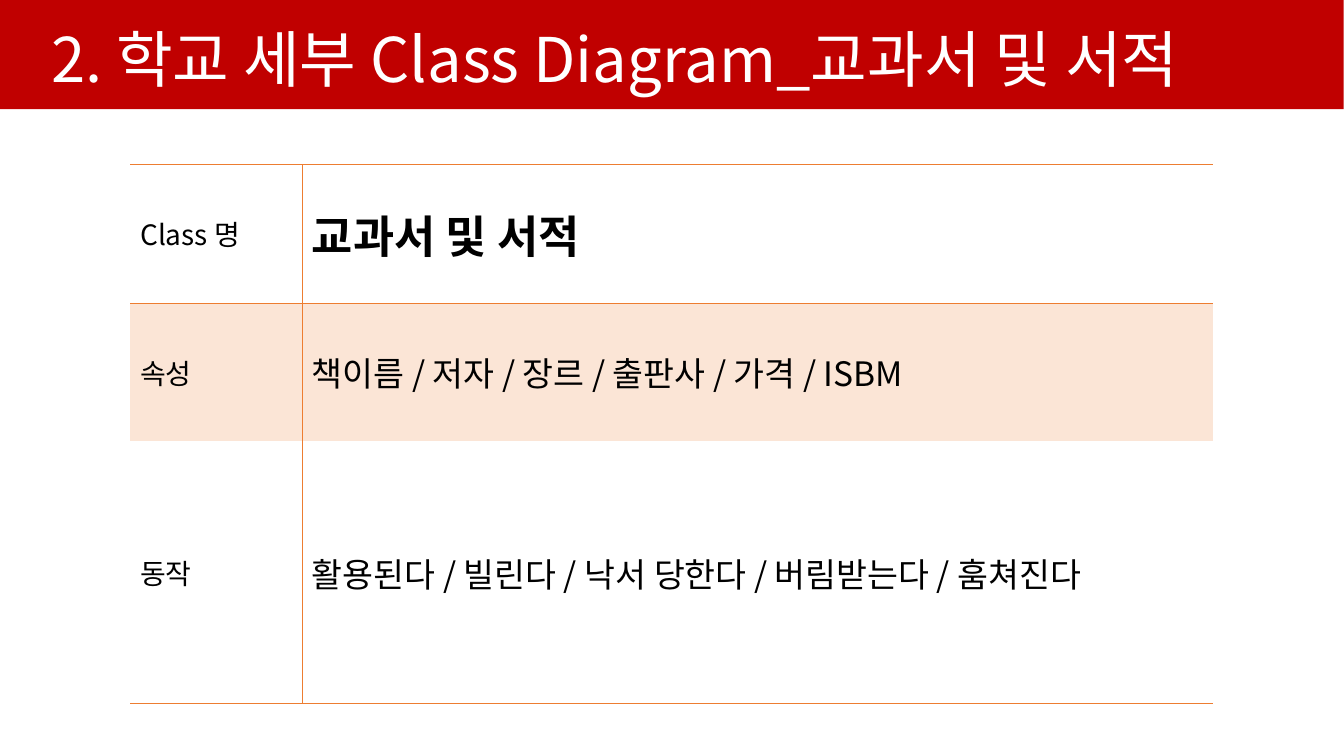
from dataclasses import dataclass

from pptx import Presentation
from pptx.dml.color import RGBColor as Rgb
from pptx.enum.shapes import MSO_SHAPE as ShapeKind
from pptx.enum.text import MSO_ANCHOR as Anchor
from pptx.oxml.ns import qn
from pptx.slide import Slide
from pptx.table import _Cell as Cell
from pptx.text.text import _Paragraph as Paragraph
from pptx.util import Cm, Pt
from lxml.etree import SubElement

COLORS = {"banner": "C00000", "white": "FFFFFF", "text": "000000",
          "rule": "ED7D31", "band": "FBE5D6"}
FONT = "Noto Sans CJK KR"
RULE_WIDTH = Pt(0.45)
COLUMN_WIDTHS = (4.33, 22.98)


@dataclass(frozen=True)
class ClassRow:
    label: str
    content: str
    content_size: int
    height: float
    rules: str
    bold: bool = False
    banded: bool = False


ROWS = (
    ClassRow("Class 명", "교과서 및 서적", 32, 3.49, "TB", bold=True),
    ClassRow("속성", "책이름 / 저자 / 장르 / 출판사 / 가격 / ISBM", 24, 3.49, "T", banded=True),
    ClassRow("동작", "활용된다 / 빌린다 / 낙서 당한다 / 버림받는다 / 훔쳐진다", 24, 6.61, "B"),
)


def add_run(paragraph: Paragraph, text: str, size: int, color: str, bold: bool = False) -> None:
    run = paragraph.add_run()
    run.text = text
    run.font.size = Pt(size)
    run.font.bold = bold
    run.font.name = FONT
    run.font.color.rgb = Rgb.from_string(COLORS[color])
    SubElement(run.font._element, qn("a:ea")).set("typeface", FONT)


def set_borders(cell: Cell, ruled_sides: str) -> None:
    properties = cell._tc.get_or_add_tcPr()
    for side in "LRTB":
        line = SubElement(properties, qn(f"a:ln{side}"), w=str(RULE_WIDTH))
        if side in ruled_sides:
            fill = SubElement(line, qn("a:solidFill"))
            SubElement(fill, qn("a:srgbClr"), val=COLORS["rule"])
        else:
            SubElement(line, qn("a:noFill"))


def fill_cell(cell: Cell, text: str, size: int, row: ClassRow, bold: bool, side: str) -> None:
    cell.vertical_anchor = Anchor.MIDDLE
    add_run(cell.text_frame.paragraphs[0], text, size, "text", bold)
    set_borders(cell, row.rules + side)
    if row.banded:
        cell.fill.solid()
        cell.fill.fore_color.rgb = Rgb.from_string(COLORS["band"])
    else:
        cell.fill.background()


def add_title(slide: Slide, text: str) -> None:
    banner = slide.shapes.add_shape(ShapeKind.RECTANGLE, 0, 0, Cm(33.87), Cm(2.75))
    banner.shadow.inherit = False
    banner.fill.solid()
    banner.fill.fore_color.rgb = Rgb.from_string(COLORS["banner"])
    banner.line.fill.background()
    title = slide.shapes.add_textbox(Cm(1.04), Cm(-0.64), Cm(31.17), Cm(3.18))
    frame = title.text_frame
    frame.word_wrap = True
    frame.vertical_anchor = Anchor.BOTTOM
    paragraph = frame.paragraphs[0]
    paragraph.line_spacing = 0.9
    add_run(paragraph, text, 44, "white")


def add_class_table(slide: Slide) -> None:
    height = sum(row.height for row in ROWS)
    frame = slide.shapes.add_table(len(ROWS), len(COLUMN_WIDTHS), Cm(3.28), Cm(4.14),
                                   Cm(sum(COLUMN_WIDTHS)), Cm(height))
    table = frame.table
    table.first_row = False
    table.horz_banding = False
    for column, width in zip(table.columns, COLUMN_WIDTHS):
        column.width = Cm(width)
    for index, row in enumerate(ROWS):
        table.rows[index].height = Cm(row.height)
        fill_cell(table.cell(index, 0), row.label, 20, row, False, "R")
        fill_cell(table.cell(index, 1), row.content, row.content_size, row, row.bold, "L")


def main() -> None:
    """Build the class diagram slide for textbooks and books."""
    presentation = Presentation()
    presentation.slide_width = Cm(33.88)
    presentation.slide_height = Cm(19.05)
    slide = presentation.slides.add_slide(presentation.slide_layouts[6])
    add_title(slide, "2. 학교 세부 Class Diagram_교과서 및 서적")
    add_class_table(slide)
    presentation.save("out.pptx")


if __name__ == "__main__":
    main()
